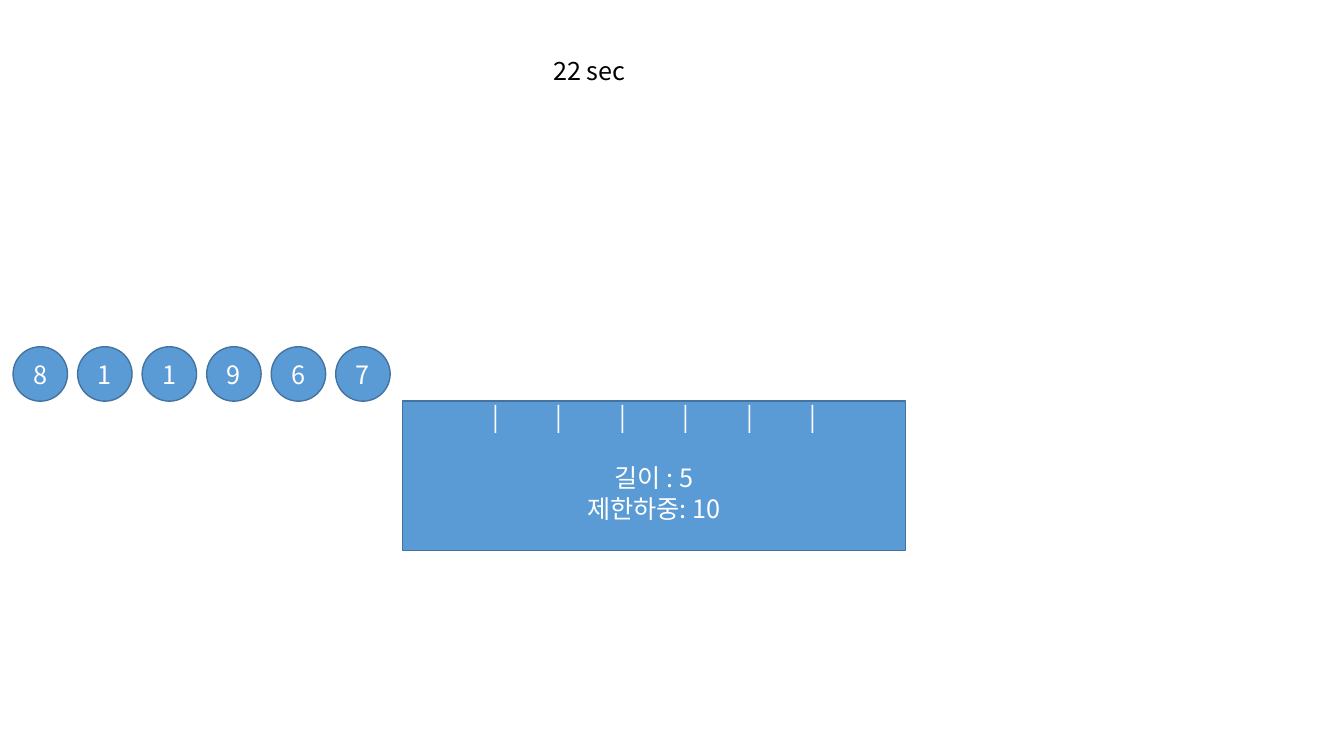
"""Builds a slide of numbered trucks waiting to cross a bridge."""
from lxml.etree import SubElement
from pptx import Presentation
from pptx.dml.color import RGBColor
from pptx.enum.shapes import MSO_SHAPE as Shape
from pptx.enum.text import MSO_ANCHOR as Anchor, PP_ALIGN as Align
from pptx.oxml.ns import qn
from pptx.util import Inches, Pt

BLACK = RGBColor(0x00, 0x00, 0x00)
WHITE = RGBColor(0xFF, 0xFF, 0xFF)
BLUE = RGBColor(0x5B, 0x9B, 0xD5)
OUTLINE = RGBColor(0x43, 0x73, 0x9E)


class SlideBuilder:
    """Holds the text style and the current slide."""

    font = "Noto Sans CJK KR"
    size = Pt(18)
    leading = Pt(21.8)

    def __init__(self, slide):
        self.slide = slide

    def style(self, p, color, align):
        """Formats one paragraph."""
        p.alignment = align
        p.line_spacing = self.leading
        p.font.name = self.font
        p.font.size = self.size
        p.font.color.rgb = color
        props = p._p.pPr.find(qn("a:defRPr"))
        SubElement(props, qn("a:ea")).set("typeface", self.font)

    def label(self, text, left, top, width, height):
        """Adds a plain line of text."""
        box = self.slide.shapes.add_textbox(*map(Inches, (left, top, width, height)))
        p = box.text_frame.paragraphs[0]
        p.text = text
        self.style(p, BLACK, Align.LEFT)

    def block(self, kind, text, left, top, width, height, anchor=Anchor.MIDDLE):
        """Adds a filled shape with centred text and returns its paragraphs."""
        sp = self.slide.shapes.add_shape(kind, *map(Inches, (left, top, width, height)))
        sp.shadow.inherit = False
        sp.fill.solid()
        sp.fill.fore_color.rgb = BLUE
        sp.line.color.rgb = OUTLINE
        sp.line.width = Pt(1)
        tf = sp.text_frame
        tf.word_wrap = True
        tf.vertical_anchor = anchor
        tf.margin_left = tf.margin_right = tf.margin_top = tf.margin_bottom = 0
        tf.text = text
        for p in tf.paragraphs:
            self.style(p, WHITE, Align.CENTER)
        return tf.paragraphs

    def tab_stops(self, p, first, pitch, count):
        """Sets evenly spaced left tab stops on a paragraph."""
        p.alignment = Align.LEFT
        props = p._p.pPr
        tabs = SubElement(props, qn("a:tabLst"))
        props.find(qn("a:defRPr")).addprevious(tabs)
        for i in range(count):
            tab = SubElement(tabs, qn("a:tab"))
            tab.set("pos", str(Inches(first + i * pitch)))
            tab.set("algn", "l")


prs = Presentation()
prs.slide_width, prs.slide_height = Inches(13.33), Inches(7.5)
s = SlideBuilder(prs.slides.add_slide(prs.slide_layouts[6]))

s.label("22 sec", 5.39, 0.5, 0.93, 0.4)

MARKS = 6
marks, length, limit = s.block(
    Shape.RECTANGLE, "\t|" * MARKS + "\n길이 : 5\n제한하중: 10",
    3.99, 3.98, 4.99, 1.48, Anchor.TOP)
s.tab_stops(marks, 0.89, 0.63, MARKS)
length.space_before = s.leading

for i, weight in enumerate("811967"):
    s.block(Shape.OVAL, weight, 0.13 + i * 0.64, 3.44, 0.54, 0.54)

prs.save("out.pptx")
